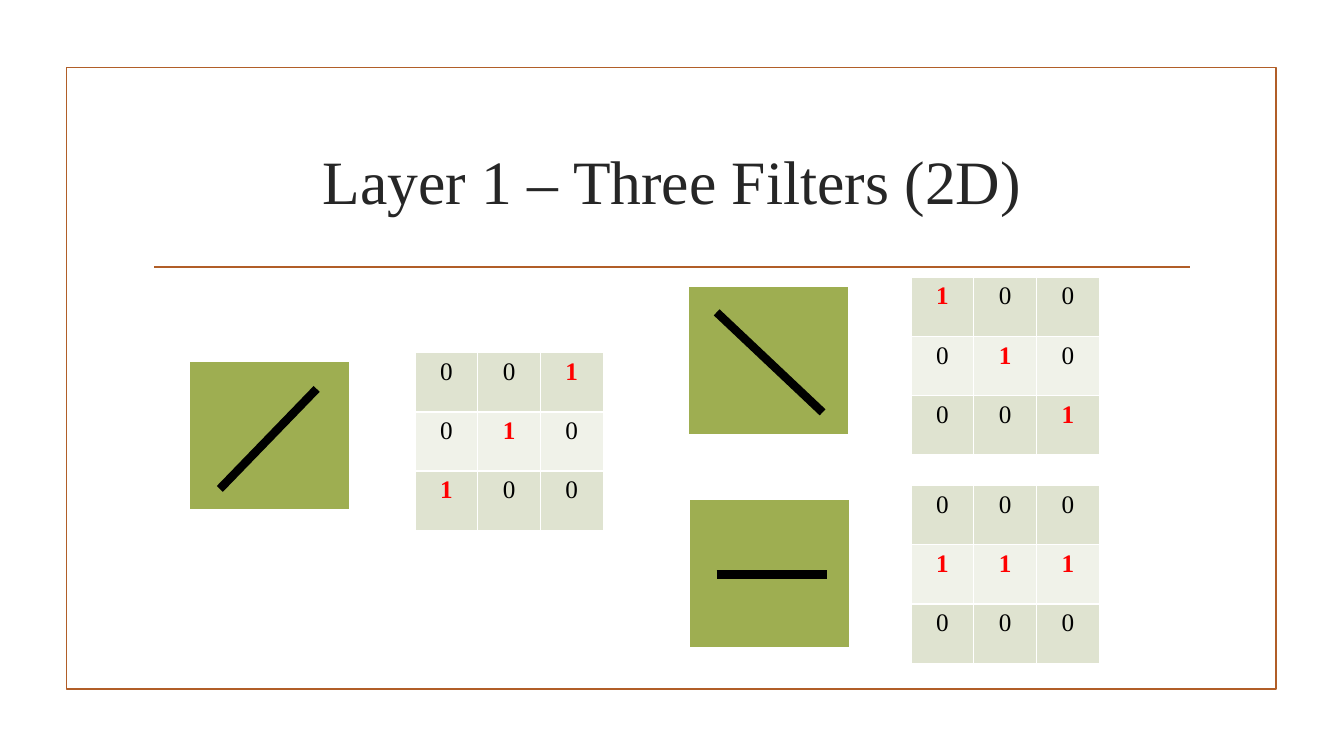
from pptx import Presentation
from pptx import util as u
from pptx.dml.color import RGBColor
from pptx.enum import shapes, text
from pptx.oxml import parse_xml
from pptx.oxml.ns import nsdecls
from lxml import etree

RUST = RGBColor(0xB1, 0x5E, 0x28)
OLIVE = RGBColor(0x9E, 0xAE, 0x51)
DARK = RGBColor(0xDF, 0xE3, 0xD0)
PALE = RGBColor(0xF0, 0xF2, 0xE9)
INK = RGBColor(0x26, 0x26, 0x26)
BLACK = RGBColor(0, 0, 0)
RED = RGBColor(0xFF, 0, 0)
WHITE = RGBColor(0xFF, 0xFF, 0xFF)


def write(frame, words, size=18, color=BLACK, bold=False, font="Times New Roman"):
    """Put one centred line of text in a text frame."""
    para = frame.paragraphs[0]
    para.alignment = text.PP_ALIGN.CENTER
    run = para.add_run()
    run.text = words
    run.font.name = font
    run.font.size = u.Pt(size)
    run.font.bold = bold
    run.font.color.rgb = color


class Board:
    """Holds the current slide and draws its elements, in centimetres."""

    cell_w, cell_h = 1.58, 1.49
    tile_w, tile_h = 4.09, 3.78

    def __init__(self, deck):
        self.slide = deck.slides.add_slide(deck.slide_layouts[5])
        self.shapes = self.slide.shapes

    def title(self, words, x, y, w, h):
        box = self.shapes.title
        box.left, box.top, box.width, box.height = map(u.Cm, (x, y, w, h))
        box.text_frame.vertical_anchor = text.MSO_ANCHOR.MIDDLE
        write(box.text_frame, words, size=44, color=INK)

    def rect(self, x, y, w, h, fill, line, width, home=None):
        box = (home or self.shapes).add_shape(
            shapes.MSO_SHAPE.RECTANGLE, *map(u.Cm, (x, y, w, h)))
        box.shadow.inherit = False
        if fill is None:
            box.fill.background()
        else:
            box.fill.solid()
            box.fill.fore_color.rgb = fill
        box.line.color.rgb = line
        box.line.width = u.Pt(width)

    def line(self, x1, y1, x2, y2, color, width, home=None):
        rule = (home or self.shapes).add_connector(
            shapes.MSO_CONNECTOR.STRAIGHT, *map(u.Cm, (x1, y1, x2, y2)))
        rule.line.color.rgb = color
        rule.line.width = u.Pt(width)
        rule._element.spPr.append(parse_xml(f"<a:effectLst {nsdecls('a')}/>"))

    def tile(self, x, y, stroke):
        """Olive tile with a thick stroke, given relative to its corner."""
        home = self.shapes.add_group_shape().shapes
        self.rect(x, y, self.tile_w, self.tile_h, OLIVE, WHITE, 2, home)
        x1, y1, x2, y2 = stroke
        self.line(x + x1, y + y1, x + x2, y + y2, BLACK, 6, home)

    def border(self, cell):
        props = cell._tc.get_or_add_tcPr()
        for spot, side in enumerate(("lnL", "lnR", "lnT", "lnB")):
            edge = parse_xml(
                f'<a:{side} {nsdecls("a")} w="{u.Pt(1)}"><a:solidFill>'
                f'<a:srgbClr val="{WHITE}"/></a:solidFill></a:{side}>')
            props.insert(spot, edge)

    def grid(self, x, y, rows):
        """Table of filter weights, with the ones in bold red."""
        count = len(rows)
        table = self.shapes.add_table(
            count, count, u.Cm(x), u.Cm(y),
            u.Cm(count * self.cell_w), u.Cm(count * self.cell_h)).table
        table.first_row = table.horz_banding = False
        for r, row in enumerate(rows):
            table.rows[r].height = u.Cm(self.cell_h)
            for c, digit in enumerate(row):
                cell = table.cell(r, c)
                cell.fill.solid()
                cell.fill.fore_color.rgb = PALE if r % 2 else DARK
                self.border(cell)
                hot = digit == "1"
                write(cell.text_frame, digit, color=RED if hot else BLACK, bold=hot)


def main():
    deck = Presentation()
    deck.slide_width, deck.slide_height = u.Cm(33.87), u.Cm(19.05)
    board = Board(deck)

    # Frame, rule and title
    board.rect(1.68, 1.7, 30.48, 15.67, None, RUST, 1.25)
    board.line(3.89, 6.73, 30, 6.73, RUST, 1.25)
    board.title("Layer 1 – Three Filters (2D)", 3.61, 2.72, 26.67, 3.63)

    # Filters: tile corner, stroke in the tile, grid corner, weights
    filters = [
        ((4.75, 9.09), (3.23, 0.71, 0.79, 3.23), (10.46, 8.89), ("001", "010", "100")),
        ((17.32, 7.19), (0.74, 0.68, 3.41, 3.2), (22.96, 6.99), ("100", "010", "001")),
        ((17.35, 12.57), (0.71, 1.91, 3.5, 1.91), (22.96, 12.24), ("000", "111", "000")),
    ]
    for tile, stroke, grid, rows in filters:
        board.tile(*tile, stroke)
        board.grid(*grid, rows)

    deck.save("out.pptx")


if __name__ == "__main__":
    main()
